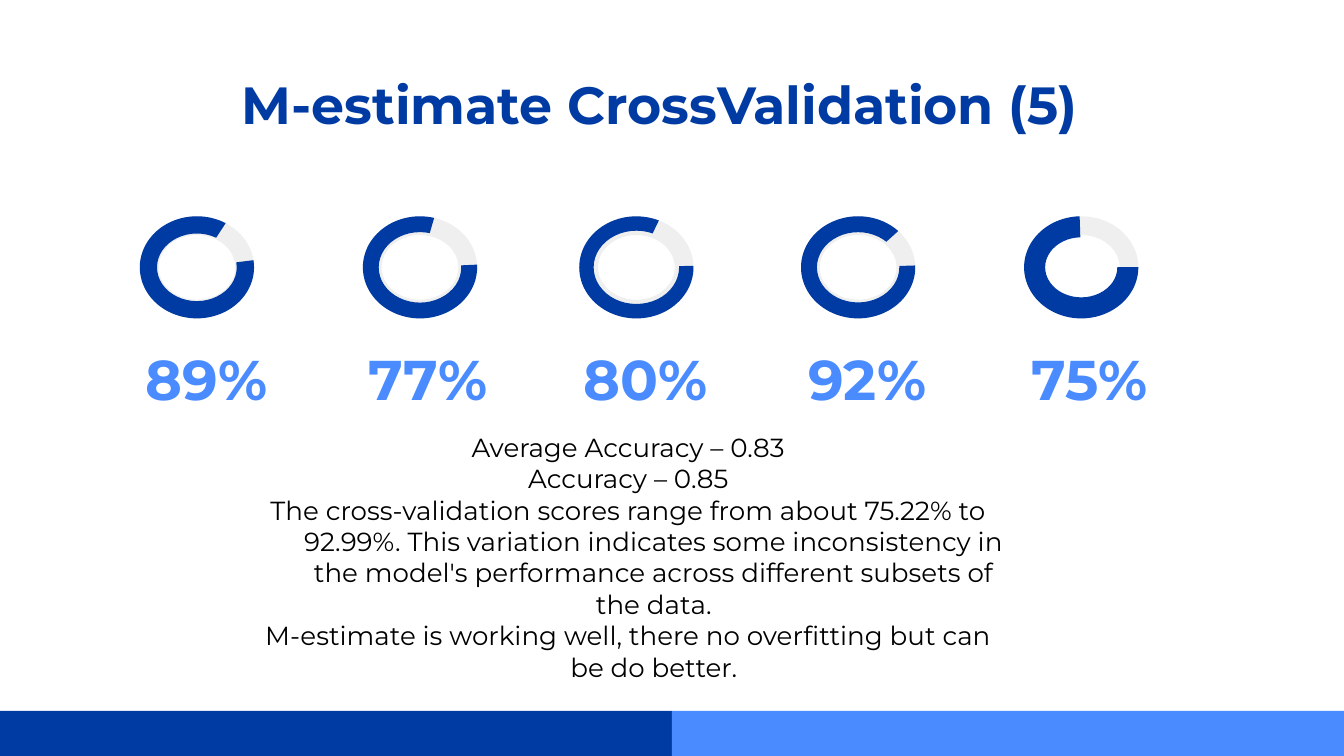
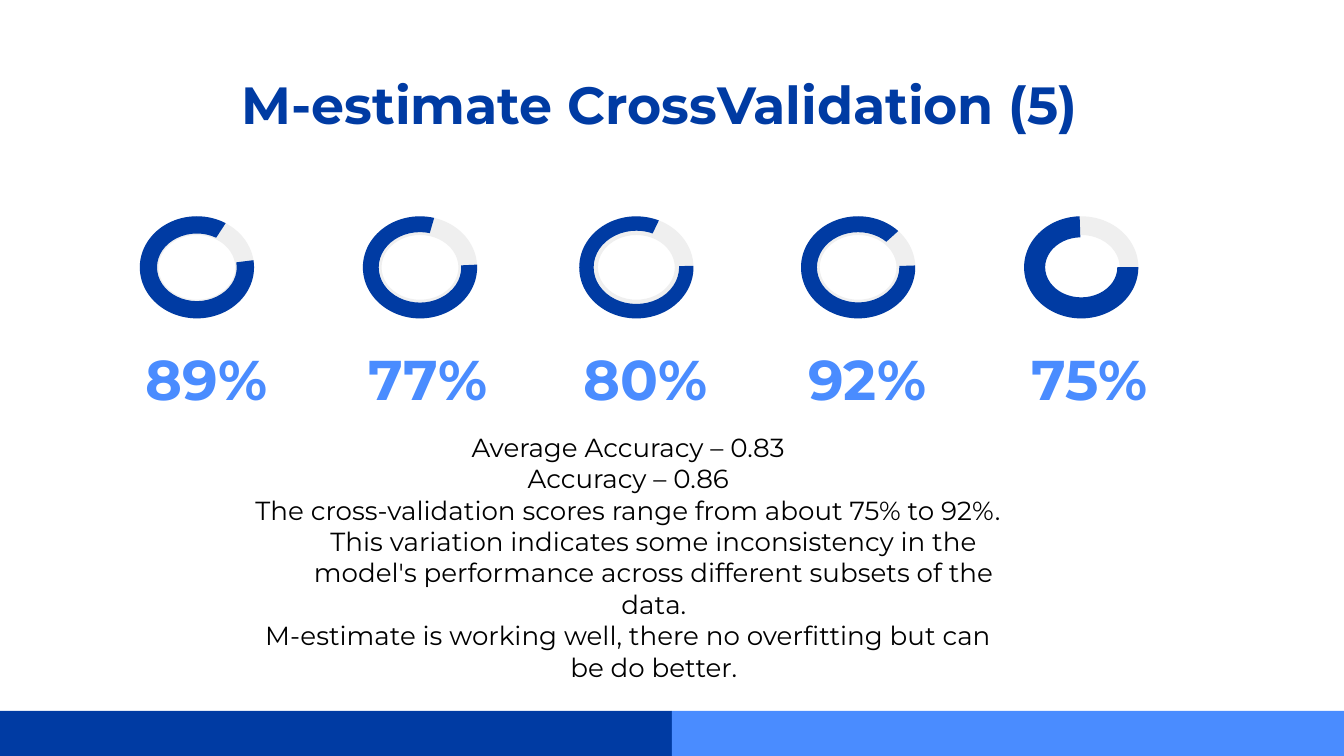
from dataclasses import dataclass

from pptx import Presentation
from pptx.dml.color import RGBColor
from pptx.enum.shapes import MSO_SHAPE
from pptx.enum.text import MSO_ANCHOR, PP_ALIGN
from pptx.shapes.autoshape import Shape
from pptx.slide import Slide
from pptx.util import Inches, Pt

RECTANGLE = MSO_SHAPE.RECTANGLE
DONUT = MSO_SHAPE.DONUT
BLOCK_ARC = MSO_SHAPE.BLOCK_ARC
TOP = MSO_ANCHOR.TOP
MIDDLE = MSO_ANCHOR.MIDDLE
CENTER = PP_ALIGN.CENTER

FONT = "Montserrat"
COLORS = {
    "navy": "003BA3",
    "sky": "4A8CFF",
    "track": "EFEFEF",
    "text": "000000",
}
TITLE = "M-estimate CrossValidation (5)"
SLIDE_WIDTH = 10
SLIDE_HEIGHT = SLIDE_WIDTH * 9 / 16
BAND_TOP = 5.29
BAND_HEIGHT = SLIDE_HEIGHT - BAND_TOP
RING_TOP, RING_WIDTH, RING_HEIGHT = 1.61, 0.85, 0.76
TRACK_THICKNESS = 0.183
LABEL_TOP, LABEL_WIDTH, LABEL_HEIGHT = 2.59, 1.69, 0.45
ADJUSTMENT_PER_DEGREE = 0.6  # angles are stored in 60000ths of a degree


@dataclass(frozen=True)
class Box:
    left: float
    top: float
    width: float
    height: float


@dataclass(frozen=True)
class TextStyle:
    size: float
    color: str
    bold: bool = False
    anchor: MSO_ANCHOR = TOP
    margin_left: float = 0
    indent: float = 0


@dataclass(frozen=True)
class FoldScore:
    label: str
    label_left: float
    ring_left: float
    start_degrees: float
    end_degrees: float
    thickness: float


TITLE_BOX = Box(0.69, 0.44, 8.43, 0.71)
SUMMARY_BOX = Box(1.62, 3.11, 5.99, 2.24)
TITLE_STYLE = TextStyle(28, "navy", bold=True)
SCORE_STYLE = TextStyle(30, "sky", bold=True, anchor=MIDDLE)
SUMMARY_STYLE = TextStyle(14, "text", margin_left=0.5, indent=-0.38)

FOLD_SCORES = [
    FoldScore("89%", 0.69, 1.04, 352.8, 303.1, 0.169),
    FoldScore("77%", 2.34, 2.7, 357.25, 285.97, 0.155),
    FoldScore("80%", 3.96, 4.31, 358.41, 295.66, 0.141),
    FoldScore("92%", 5.61, 5.96, 358.12, 317.85, 0.156),
    FoldScore("75%", 7.26, 7.62, 359.8, 268.26, 0.206),
]

# Accuracy and score range for each slide
RESULTS = [
    ("0.85", "75.22% to 92.99%"),
    ("0.86", "75% to 92%"),
]


def add_filled_shape(slide: Slide, kind: MSO_SHAPE, box: Box, color: str) -> Shape:
    shape = slide.shapes.add_shape(
        kind, Inches(box.left), Inches(box.top), Inches(box.width), Inches(box.height)
    )
    shape.shadow.inherit = False
    shape.fill.solid()
    shape.fill.fore_color.rgb = RGBColor.from_string(COLORS[color])
    shape.line.fill.background()
    return shape


def add_text(slide: Slide, box: Box, text: str, style: TextStyle) -> None:
    shape = slide.shapes.add_textbox(
        Inches(box.left), Inches(box.top), Inches(box.width), Inches(box.height)
    )
    text_frame = shape.text_frame
    text_frame.word_wrap = True
    text_frame.vertical_anchor = style.anchor
    text_frame.margin_left = text_frame.margin_right = Inches(0.1)
    text_frame.margin_top = text_frame.margin_bottom = Inches(0.1)
    text_frame.text = text
    for paragraph in text_frame.paragraphs:
        paragraph.alignment = CENTER
        if style.margin_left:
            properties = paragraph._p.get_or_add_pPr()
            properties.set("marL", str(Inches(style.margin_left)))
            properties.set("indent", str(Inches(style.indent)))
        for run in paragraph.runs:
            run.font.name = FONT
            run.font.size = Pt(style.size)
            run.font.bold = style.bold
            run.font.color.rgb = RGBColor.from_string(COLORS[style.color])


def add_fold_score(slide: Slide, score: FoldScore) -> None:
    label_box = Box(score.label_left, LABEL_TOP, LABEL_WIDTH, LABEL_HEIGHT)
    add_text(slide, label_box, score.label, SCORE_STYLE)
    ring_box = Box(score.ring_left, RING_TOP, RING_WIDTH, RING_HEIGHT)
    track = add_filled_shape(slide, DONUT, ring_box, "track")
    track.adjustments[0] = TRACK_THICKNESS
    arc = add_filled_shape(slide, BLOCK_ARC, ring_box, "navy")
    arc.adjustments[0] = score.start_degrees * ADJUSTMENT_PER_DEGREE
    arc.adjustments[1] = score.end_degrees * ADJUSTMENT_PER_DEGREE
    arc.adjustments[2] = score.thickness


def add_result_slide(presentation: Presentation, accuracy: str, score_range: str) -> None:
    slide = presentation.slides.add_slide(presentation.slide_layouts[6])

    # Footer bands, half the slide each
    band_width = SLIDE_WIDTH / 2
    for index, color in enumerate(("navy", "sky")):
        band_box = Box(index * band_width, BAND_TOP, band_width, BAND_HEIGHT)
        add_filled_shape(slide, RECTANGLE, band_box, color)

    # Title and score rings
    add_text(slide, TITLE_BOX, TITLE, TITLE_STYLE)
    for score in FOLD_SCORES:
        add_fold_score(slide, score)

    # Summary
    summary = [
        "Average Accuracy – 0.83",
        f"Accuracy – {accuracy}",
        f"The cross-validation scores range from about {score_range}. "
        "This variation indicates some inconsistency in the model's performance "
        "across different subsets of the data.",
        "M-estimate is working well, there no overfitting but can be do better.",
    ]
    add_text(slide, SUMMARY_BOX, "\n".join(summary), SUMMARY_STYLE)


def main() -> None:
    presentation = Presentation()
    presentation.slide_width = Inches(SLIDE_WIDTH)
    presentation.slide_height = Inches(SLIDE_HEIGHT)
    for accuracy, score_range in RESULTS:
        add_result_slide(presentation, accuracy, score_range)
    presentation.save("out.pptx")


if __name__ == "__main__":
    main()
